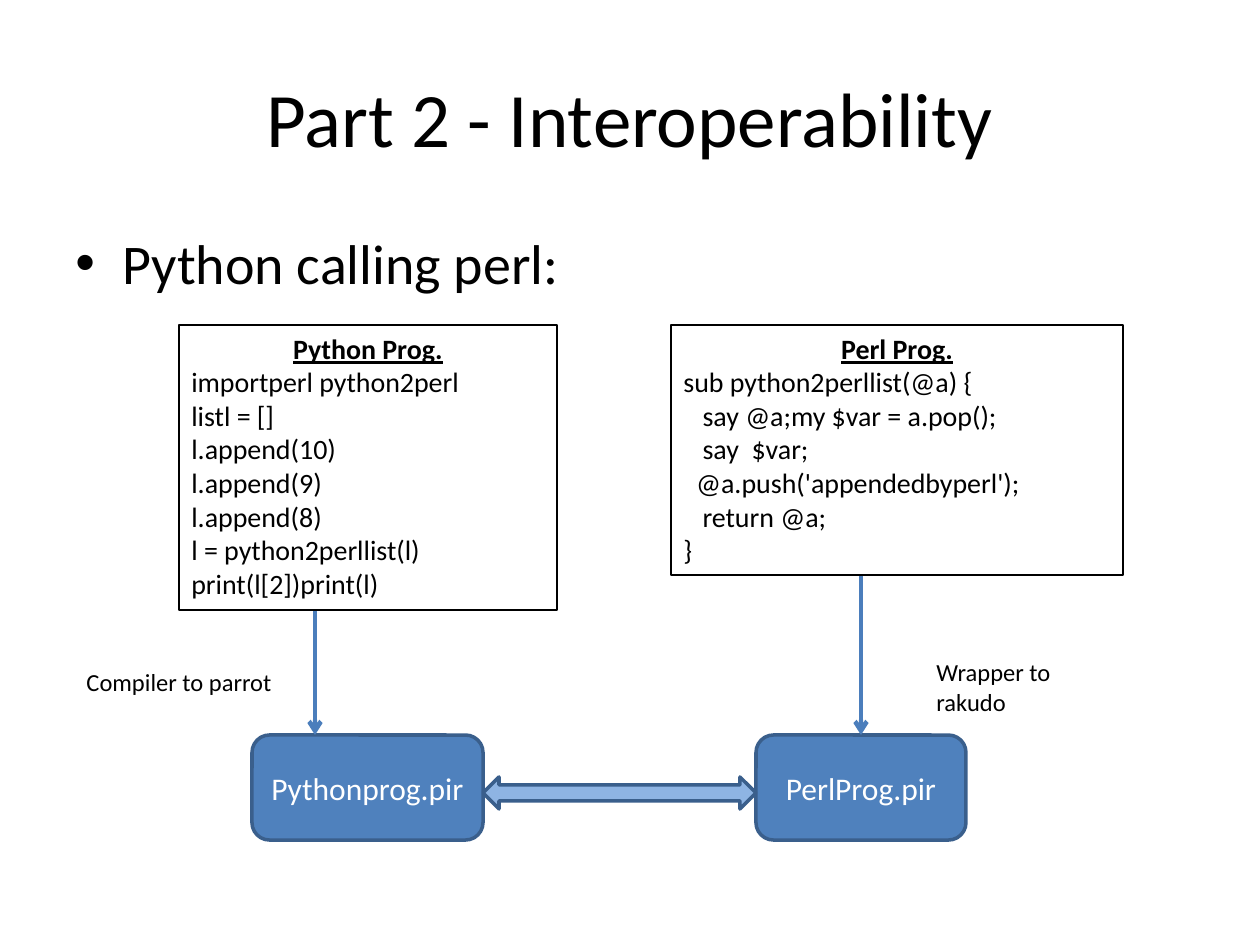
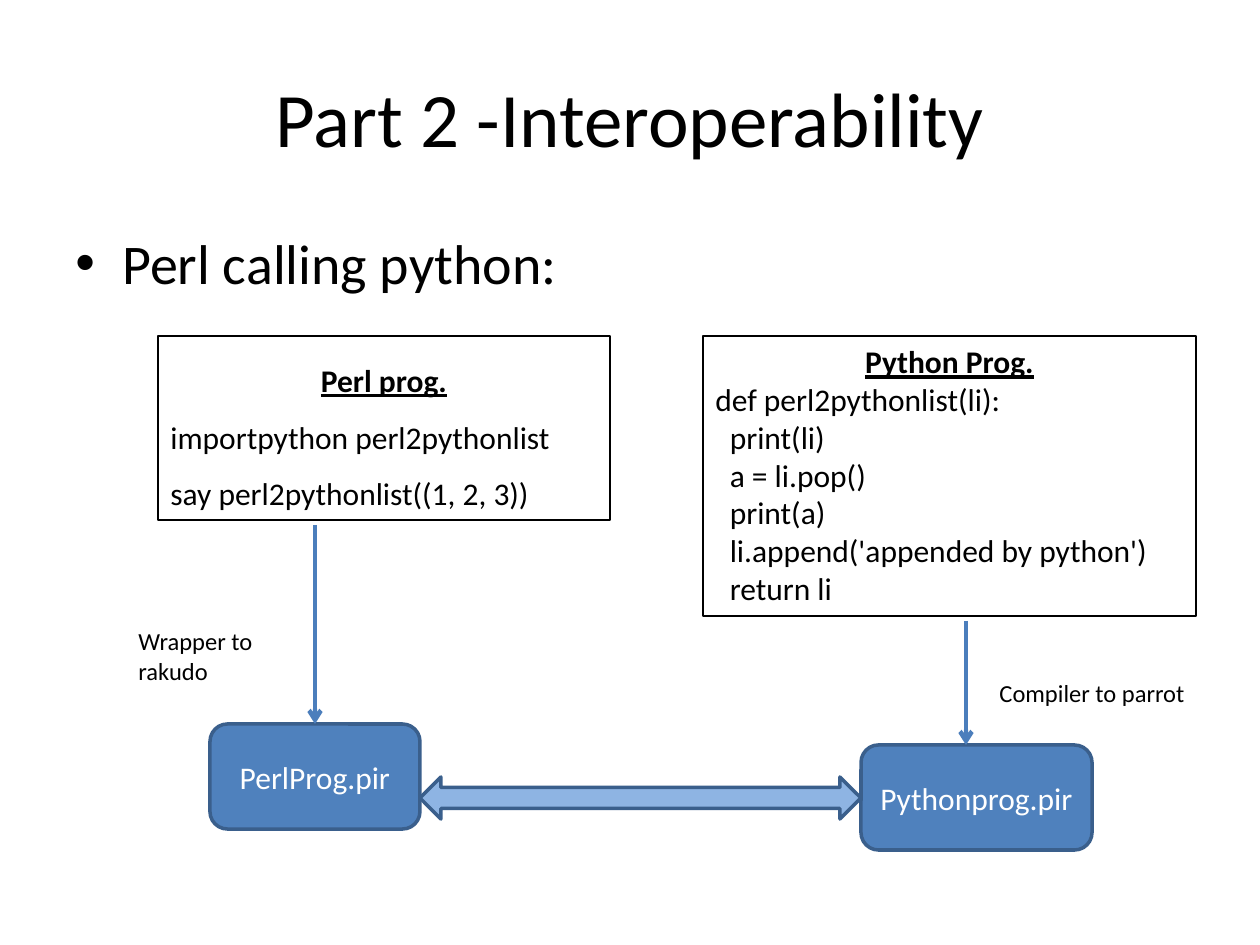
from dataclasses import dataclass

from lxml import etree
from pptx import Presentation
from pptx.dml.color import RGBColor
from pptx.enum.shapes import MSO_CONNECTOR as Connector, MSO_SHAPE as Shape
from pptx.enum.text import MSO_ANCHOR as Anchor, PP_ALIGN as Align
from pptx.oxml.ns import qn
from pptx.util import Emu, Pt

PX_PER_INCH = 126
FONT = "Calibri"
COLOURS = {
    "ink": "000000",
    "node": "4F81BD",
    "edge": "3A5F8C",
    "arrow": "4B7EBC",
    "link": "8EB4E3",
    "paper": "FFFFFF",
}
# Compiled file, its width, translation step and the step's label size
LANGUAGES = {
    "python": ("Pythonprog.pir", 231, "Compiler to parrot", (231, 43)),
    "perl": ("PerlProg.pir", 210, "Wrapper to rakudo", (168, 72)),
}
NODE_HEIGHT = 105
LINK_TOP = 777


@dataclass
class Column:
    """A program listing and the file it turns into, lengths in px."""
    language: str
    listing: tuple       # left, top, width, height
    heading: str
    code: str
    node: tuple          # left, top
    arrow_offset: int    # from the left of the node
    label: tuple         # left, top
    spacing: float = 1.0


def px(length):
    return Emu(round(length * 914400 / PX_PER_INCH))


def colour(name):
    return RGBColor.from_string(COLOURS[name])


def style_para(para, size, ink="ink", align=Align.LEFT, bold=False):
    para.alignment = align
    for span in para.runs:
        font = span.font
        font.name, font.size = FONT, Pt(size)
        font.color.rgb = colour(ink)
        font.bold = font.underline = bold


def add_text(page, box, text, size, align=Align.LEFT, anchor=Anchor.TOP):
    text_box = page.shapes.add_textbox(*map(px, box))
    frame = text_box.text_frame
    frame.word_wrap = True
    frame.vertical_anchor = anchor
    frame.text = text
    for para in frame.paragraphs:
        style_para(para, size, align=align)
    return text_box


def add_solid(page, kind, box, fill):
    shape = page.shapes.add_shape(kind, *map(px, box))
    shape.shadow.inherit = False
    shape.fill.solid()
    shape.fill.fore_color.rgb = colour(fill)
    shape.line.color.rgb = colour("edge")
    shape.line.width = Pt(2)
    return shape


def add_header(page, title, topic):
    add_text(page, (63, 38, 1134, 157), title, 44, Align.CENTER, Anchor.MIDDLE)
    bullet_box = add_text(page, (63, 222, 1134, 622), topic, 32)
    props = bullet_box.text_frame.paragraphs[0]._p.get_or_add_pPr()
    props.set("marL", str(px(47)))
    props.set("indent", str(-px(47)))
    etree.SubElement(props, qn("a:buFont")).set("typeface", "Arial")
    etree.SubElement(props, qn("a:buChar")).set("char", "•")


def add_listing(page, column, size):
    lines = [column.heading, *column.code.split("\n")]
    text = "\n".join(line.lstrip() for line in lines)
    box = add_text(page, column.listing, text, size)
    box.line.color.rgb = colour("ink")
    box.line.width = Pt(0.75)
    paras = box.text_frame.paragraphs
    for para, line in zip(paras, lines):
        para.line_spacing = column.spacing
        # Leading spaces of the code become a left indent
        depth = len(line) - len(line.lstrip())
        if depth:
            para._p.get_or_add_pPr().set("marL", str(px(depth * size * 0.4)))
    style_para(paras[0], size, align=Align.CENTER, bold=True)


def add_arrow(page, x, top, bottom):
    arrow = page.shapes.add_connector(
        Connector.STRAIGHT, px(x), px(top), px(x), px(bottom))
    arrow.line.color.rgb = colour("arrow")
    arrow.line.width = Pt(2.5)
    etree.SubElement(arrow.line._get_or_add_ln(), qn("a:tailEnd")).set("type", "arrow")
    etree.SubElement(arrow._element.spPr, qn("a:effectLst"))


def add_column(page, column, size, gap):
    file_name, width, step, label_size = LANGUAGES[column.language]
    left, top = column.node
    add_listing(page, column, size)
    # Compiled file
    node = add_solid(page, Shape.ROUNDED_RECTANGLE,
                     (left, top, width, NODE_HEIGHT), "node")
    frame = node.text_frame
    frame.text = file_name
    frame.vertical_anchor = Anchor.MIDDLE
    style_para(frame.paragraphs[0], 18, "paper", Align.CENTER)
    # Translation step
    listing_bottom = column.listing[1] + column.listing[3]
    add_arrow(page, left + column.arrow_offset, listing_bottom + gap, top)
    add_text(page, (*column.label, *label_size), step, 14)


def add_interop_page(deck, title, topic, columns, size, gap, link_height):
    page = deck.slides.add_slide(deck.slide_layouts[6])
    add_header(page, title, topic)
    for column in columns:
        add_column(page, column, size, gap)
    # Two-way link between the compiled files
    caller, callee = columns
    start = caller.node[0] + LANGUAGES[caller.language][1]
    add_solid(page, Shape.LEFT_RIGHT_ARROW,
              (start, LINK_TOP, callee.node[0] - start, link_height), "link")


PYTHON_CALLER = """importperl python2perl
listl = []
l.append(10)
l.append(9)
l.append(8)
l = python2perllist(l)
print(l[2])print(l)"""

PERL_CALLEE = """sub python2perllist(@a) {
   say @a;my $var = a.pop();
   say  $var;
  @a.push('appendedbyperl');
   return @a;
}"""

PERL_CALLER = """importpython perl2pythonlist
say perl2pythonlist((1, 2, 3))"""

PYTHON_CALLEE = """def perl2pythonlist(li):
  print(li)
  a = li.pop()
  print(a)
  li.append('appended by python')
  return li"""


def main():
    deck = Presentation()
    deck.slide_width, deck.slide_height = px(1260), px(945)

    add_interop_page(deck, "Part 2 - Interoperability", "Python calling perl:", [
        Column("python", (179, 325, 378, 285), "Python Prog.", PYTHON_CALLER,
               node=(252, 735), arrow_offset=63, label=(74, 661)),
        Column("perl", (671, 325, 452, 250), "Perl Prog.", PERL_CALLEE,
               node=(756, 735), arrow_offset=105, label=(924, 651)),
    ], size=16, gap=1, link_height=32)

    add_interop_page(deck, "Part 2 -Interoperability", "Perl calling python:", [
        Column("perl", (158, 336, 452, 184), "Perl prog.", PERL_CALLER,
               node=(210, 724), arrow_offset=105, label=(126, 620), spacing=1.5),
        Column("python", (703, 336, 493, 280), "Python Prog.", PYTHON_CALLEE,
               node=(861, 745), arrow_offset=105, label=(987, 672)),
    ], size=18, gap=5, link_height=42)

    deck.save("out.pptx")


if __name__ == "__main__":
    main()
